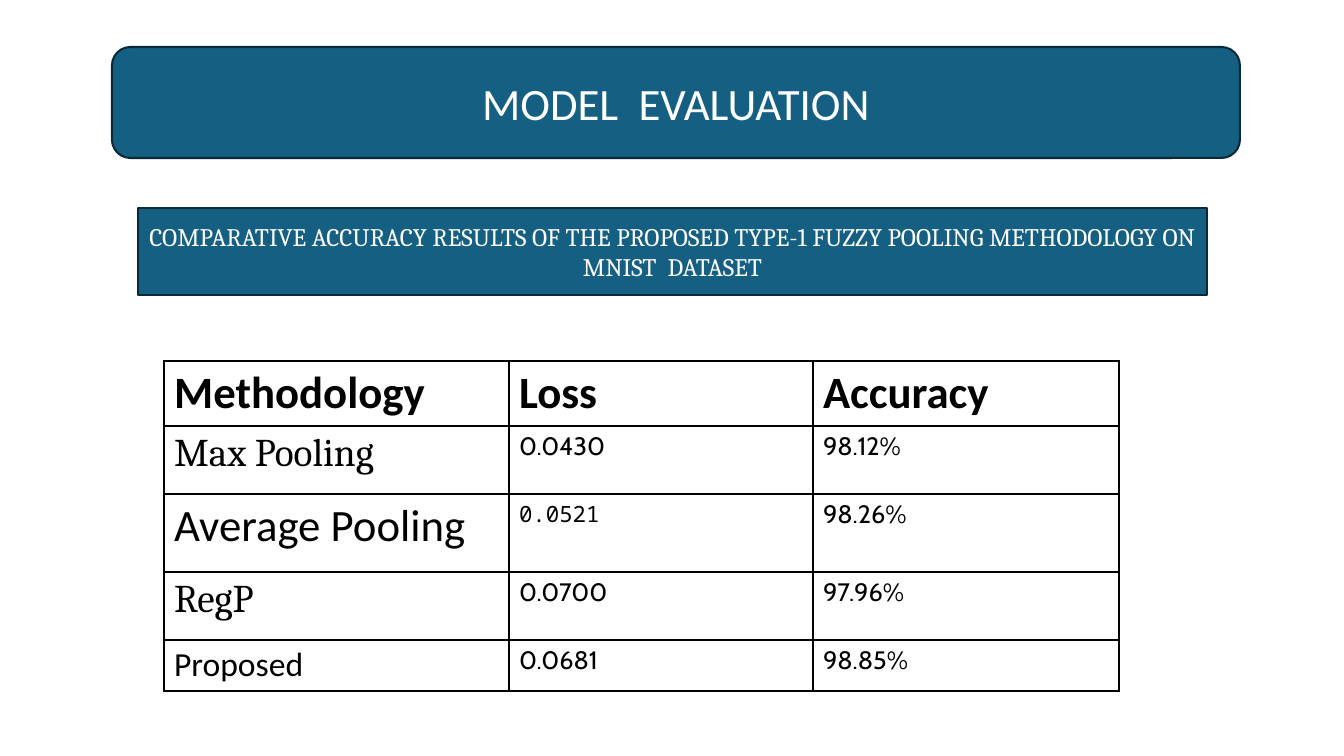
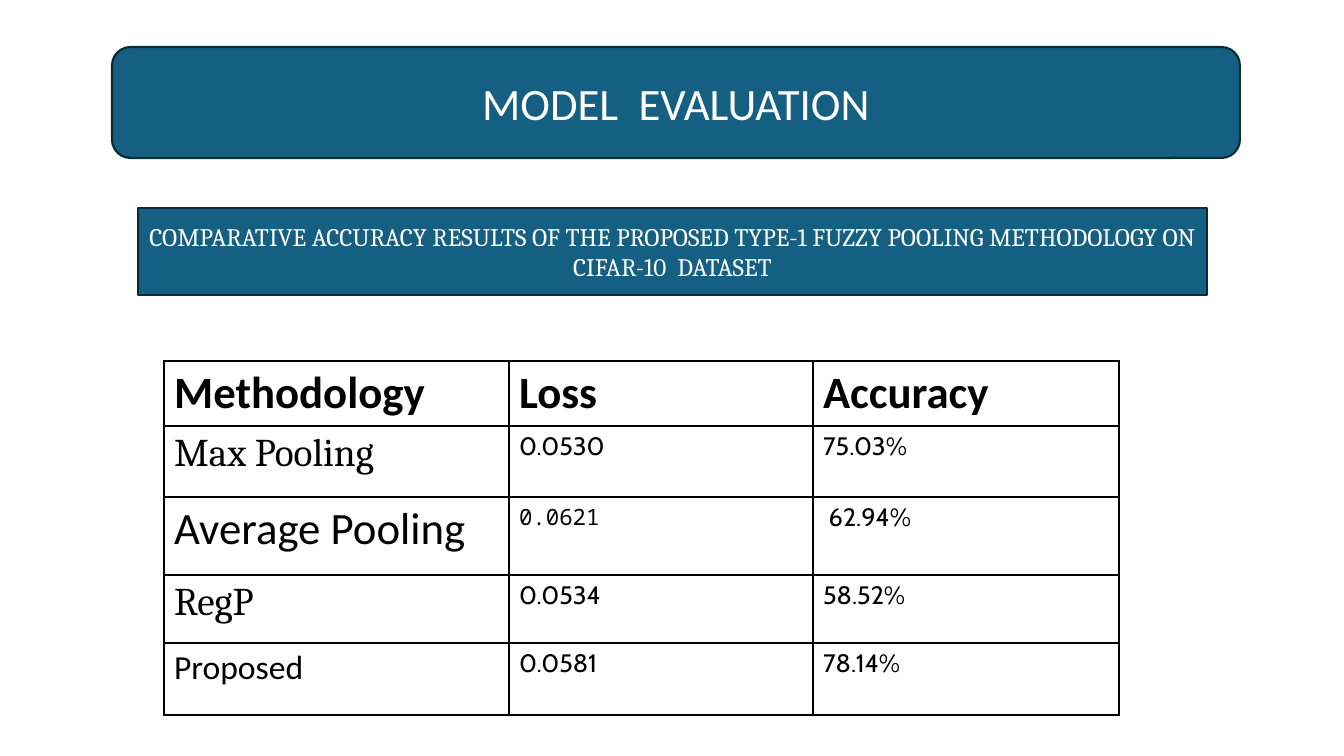
from lxml import etree
from pptx import Presentation
from pptx.dml.color import RGBColor
from pptx.enum.shapes import MSO_SHAPE
from pptx.enum.text import MSO_ANCHOR, PP_ALIGN
from pptx.oxml.ns import qn
from pptx.util import Pt

RECT, ROUNDED = MSO_SHAPE.RECTANGLE, MSO_SHAPE.ROUNDED_RECTANGLE
MIDDLE, CENTER = MSO_ANCHOR.MIDDLE, PP_ALIGN.CENTER
TEAL = RGBColor(0x15, 0x60, 0x82)
DARK = RGBColor(0x09, 0x2A, 0x39)
WHITE = RGBColor(0xFF, 0xFF, 0xFF)
BLACK = RGBColor(0x00, 0x00, 0x00)
TITLE_ONLY = 5

HEADING = ("Calibri", 32)
SUBHEADING = ("Cambria", 18)
VALUE = ("Cabin", 18)
MONO = ("Noto Sans Mono", 16)
COLUMNS = [345, 304, 306]
HEADER = ["Methodology", "Loss", "Accuracy"]
METHODS = [
    ("Max Pooling", ("Cambria", 28), VALUE),
    ("Average Pooling", HEADING, MONO),
    ("RegP", ("Cambria", 28), VALUE),
    ("Proposed", ("Calibri", 24), VALUE),
]
RESULTS = [
    ("MNIST", [65, 68, 78, 68, 51],
     [("0.0430", "98.12%"), ("0.0521", "98.26%"),
      ("0.0700", "97.96%"), ("0.0681", "98.85%")]),
    ("CIFAR-10", [65, 71, 78, 68, 72],
     [("0.0530", "75.03%"), ("0.0621", " 62.94%"),
      ("0.0534", "58.52%"), ("0.0581", "78.14%")]),
]


def px(n):
    """Turn pixels into EMU."""
    return round(n * 914400 / 100.8)


class Deck:
    """Holds the shared style and the current slide."""

    def __init__(self):
        """Start a widescreen presentation."""
        self.prs = Presentation()
        self.prs.slide_width, self.prs.slide_height = px(1344), px(756)
        self.s = None

    def put_text(self, tf, text, font, color, bold=False):
        """Set the text of a frame and format its runs."""
        tf.text = text
        for p in tf.paragraphs:
            for r in p.runs:
                r.font.name, r.font.size = font[0], Pt(font[1])
                r.font.bold = bold
                r.font.color.rgb = color

    def center(self, tf):
        """Centre a frame's text both ways."""
        tf.word_wrap = True
        tf.vertical_anchor = MIDDLE
        for p in tf.paragraphs:
            p.alignment = CENTER

    def band(self, kind, x, y, w, h):
        """Draw a teal band with a dark outline."""
        sp = self.s.shapes.add_shape(kind, px(x), px(y), px(w), px(h))
        sp.shadow.inherit = False
        sp.fill.solid()
        sp.fill.fore_color.rgb = TEAL
        sp.line.color.rgb = DARK
        sp.line.width = Pt(1.5)
        return sp

    def slide(self, title):
        """Add a slide with its title on a rounded band."""
        self.s = self.prs.slides.add_slide(self.prs.slide_layouts[TITLE_ONLY])
        band = self.band(ROUNDED, 112, 47, 1128, 111)
        sp = self.s.shapes.title
        sp.left, sp.top = band.left, band.top
        sp.width, sp.height = band.width, band.height
        band.element.addnext(sp.element)
        self.put_text(sp.text_frame, title, HEADING, WHITE)
        self.center(sp.text_frame)

    def subtitle(self, text):
        """Add the rectangular band with the subtitle."""
        sp = self.band(RECT, 138, 208, 1069, 87)
        self.put_text(sp.text_frame, text, SUBHEADING, WHITE)
        self.center(sp.text_frame)

    def cell(self, cell, text, font, bold=False):
        """Fill one table cell and draw its borders."""
        self.put_text(cell.text_frame, text, font, BLACK, bold)
        tc_pr = cell._tc.get_or_add_tcPr()
        for side in ("a:lnL", "a:lnR", "a:lnT", "a:lnB"):
            ln = etree.SubElement(tc_pr, qn(side), w=str(Pt(1)))
            fill = etree.SubElement(ln, qn("a:solidFill"))
            etree.SubElement(fill, qn("a:srgbClr"), val=str(BLACK))
        cell.fill.solid()
        cell.fill.fore_color.rgb = WHITE

    def table(self, heights, values):
        """Add the table of loss and accuracy by method."""
        frame = self.s.shapes.add_table(
            len(heights), len(COLUMNS), px(164), px(361),
            px(sum(COLUMNS)), px(sum(heights)))
        table = frame.table
        table.first_row = table.horz_banding = False
        for column, width in zip(table.columns, COLUMNS):
            column.width = px(width)
        for row, height in zip(table.rows, heights):
            row.height = px(height)
        for c, text in enumerate(HEADER):
            self.cell(table.cell(0, c), text, HEADING, True)
        for i, (method, pair) in enumerate(zip(METHODS, values), 1):
            name, name_font, loss_font = method
            loss, accuracy = pair
            self.cell(table.cell(i, 0), name, name_font)
            self.cell(table.cell(i, 1), loss, loss_font)
            self.cell(table.cell(i, 2), accuracy, VALUE)


def main():
    """Build one evaluation slide per dataset."""
    deck = Deck()
    for dataset, heights, values in RESULTS:
        deck.slide("MODEL  EVALUATION")
        deck.table(heights, values)
        deck.subtitle("COMPARATIVE ACCURACY RESULTS OF THE PROPOSED TYPE-1 "
                      f"FUZZY POOLING METHODOLOGY ON {dataset}  DATASET")
    deck.prs.save("out.pptx")


if __name__ == "__main__":
    main()
